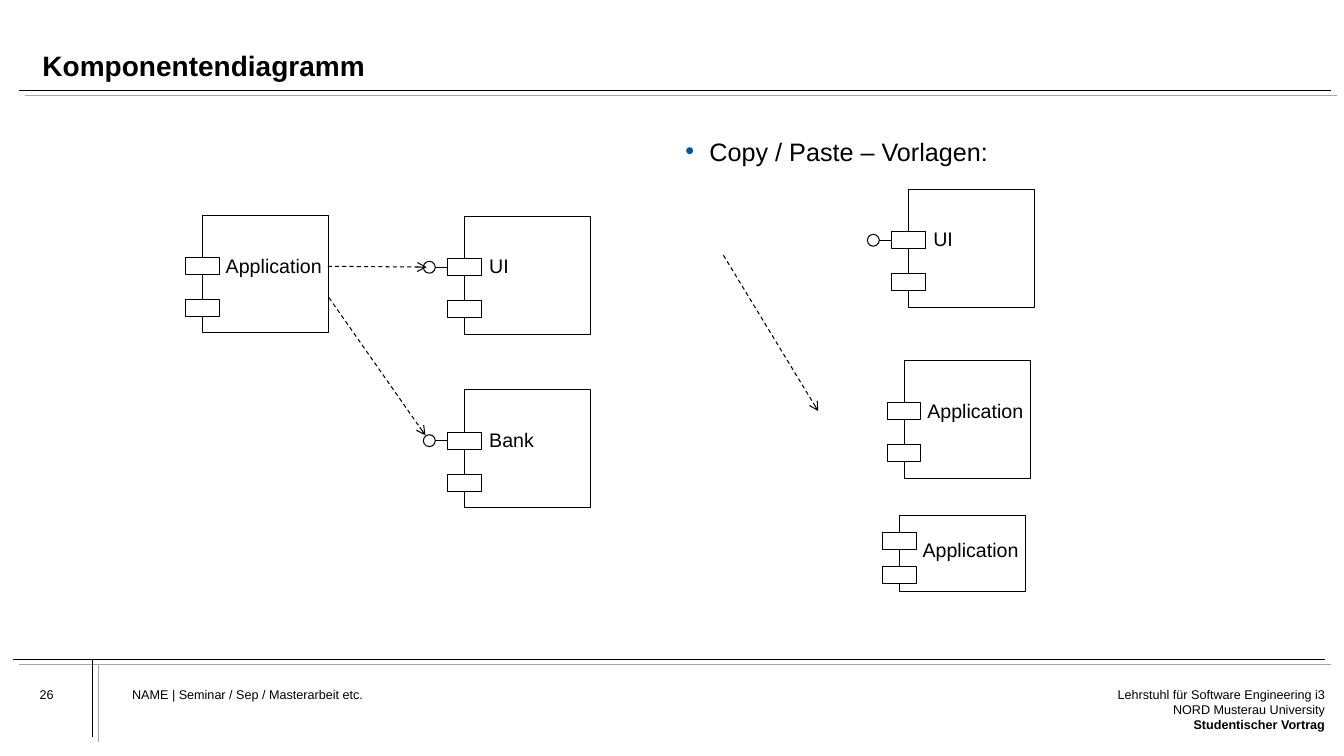
from lxml import etree
from pptx import Presentation
from pptx.dml.color import RGBColor
from pptx.enum.dml import MSO_LINE
from pptx.enum.shapes import MSO_CONNECTOR, MSO_SHAPE
from pptx.enum.text import MSO_ANCHOR, MSO_AUTO_SIZE, PP_ALIGN
from pptx.oxml.ns import qn
from pptx.util import Cm, Pt

RECT, OVAL = MSO_SHAPE.RECTANGLE, MSO_SHAPE.OVAL
STRAIGHT, DASH = MSO_CONNECTOR.STRAIGHT, MSO_LINE.DASH
LEFT, RIGHT = PP_ALIGN.LEFT, PP_ALIGN.RIGHT
TOP, MIDDLE, BOTTOM = MSO_ANCHOR.TOP, MSO_ANCHOR.MIDDLE, MSO_ANCHOR.BOTTOM
NO_RESIZE = MSO_AUTO_SIZE.NONE
FIT_SHAPE = MSO_AUTO_SIZE.SHAPE_TO_FIT_TEXT

COLORS = {"ink": "000000", "paper": "FFFFFF", "echo": "A6A6A6", "bullet": "00549F"}
NO_INSETS = dict.fromkeys(
    ("margin_left", "margin_top", "margin_right", "margin_bottom"), 0)
PLAIN = {**NO_INSETS, "word_wrap": True, "auto_size": NO_RESIZE, "vertical_anchor": TOP}
LABEL = {"word_wrap": False, "auto_size": FIT_SHAPE, "vertical_anchor": MIDDLE}

BODY_W, BODY_H = 3.18, 2.97
TAB_W, TAB_H, TAB_OUT = 0.85, 0.43, 0.43
BALL, BALL_OUT = 0.3, 1.04
ECHO_SHIFT = 0.14


def rgb(name):
    return RGBColor.from_string(COLORS[name])


def apply(target, values):
    for name, value in values.items():
        setattr(target, name, value)


def write(tf, lines, frame, size, para=None, bold_lines=()):
    apply(tf, frame)
    for i, line in enumerate(lines):
        p = tf.paragraphs[0] if i == 0 else tf.add_paragraph()
        apply(p, {"alignment": LEFT, **(para or {})})
        r = p.add_run()
        r.text = line
        apply(r.font, {"name": "Arial", "size": Pt(size), "bold": line in bold_lines})
        r.font.color.rgb = rgb("ink")


def add_text(shapes, box, lines, frame, size, **options):
    sp = shapes.add_textbox(*map(Cm, box))
    write(sp.text_frame, lines, frame, size, **options)
    return sp


def add_line(shapes, x1, y1, x2, y2, color="ink", width=0.75):
    cxn = shapes.add_connector(STRAIGHT, Cm(x1), Cm(y1), Cm(x2), Cm(y2))
    cxn.line.width = Pt(width)
    cxn.line.color.rgb = rgb(color)
    etree.SubElement(cxn._element.spPr, qn("a:effectLst"))
    return cxn


def add_double_line(shapes, x1, y1, x2, y2):
    for color, d in (("ink", 0), ("echo", ECHO_SHIFT)):
        add_line(shapes, x1 + d, y1 + d, x2 + d, y2 + d, color, 0.5)


def add_dependency(shapes, x1, y1, x2, y2):
    cxn = add_line(shapes, x1, y1, x2, y2)
    cxn.line.dash_style = DASH
    etree.SubElement(cxn.line._get_or_add_ln(), qn("a:tailEnd"), type="arrow")


def add_outline(shapes, kind, x, y, w, h, filled=True):
    sp = shapes.add_shape(kind, Cm(x), Cm(y), Cm(w), Cm(h))
    sp.shadow.inherit = False
    if filled:
        sp.fill.solid()
        sp.fill.fore_color.rgb = rgb("paper")
    else:
        sp.fill.background()
    sp.line.color.rgb = rgb("ink")
    sp.line.width = Pt(0.75)
    return sp


def add_component(slide, x, y, name, label_w, h=BODY_H, tab_tops=(1.07, 2.13),
                  label_mid=1.28, interface=False):
    shapes = slide.shapes.add_group_shape().shapes
    add_outline(shapes, RECT, x, y, BODY_W, h, filled=False)
    tabs = [add_outline(shapes, RECT, x - TAB_OUT, y + top, TAB_W, TAB_H)
            for top in tab_tops]
    label_h, label_x = (0.66, 0.37) if interface else (0.84, 0.33)
    add_text(shapes, (x + label_x, y + label_mid - label_h / 2, label_w, label_h),
             [name], LABEL, 14, para={"line_spacing": 0.7 if interface else 1.0})
    if interface:
        mid = y + tab_tops[0] + TAB_H / 2
        add_outline(shapes, OVAL, x - BALL_OUT, mid - BALL / 2, BALL, BALL)
        stick = add_line(shapes, x - BALL_OUT + BALL, mid, x - TAB_OUT, mid)
        stick.end_connect(tabs[0], 1)


def add_header(slide, x, y, w, h):
    title = slide.shapes.title
    apply(title, {"left": Cm(x), "top": Cm(y), "width": Cm(w), "height": Cm(h)})
    text = "Komponentendiagramm"
    write(title.text_frame, [text], {**PLAIN, "vertical_anchor": BOTTOM}, 20,
          para={"line_spacing": 0.9}, bold_lines=[text])
    add_double_line(slide.shapes, 0.48, y + h + 0.2, 33.55, y + h + 0.2)


def add_footer(slide, x, y, w, h):
    shapes = slide.shapes
    add_double_line(shapes, x, y, x + w, y)
    add_double_line(shapes, x + 2, y, x + 2, y + h)
    text_y = y + 0.69
    add_text(shapes, (x + 0.66, text_y, 2.03, 1.09), ["26"], PLAIN, 9)
    add_text(shapes, (x + 2.99, text_y, 19.46, 1.75),
             ["NAME | Seminar / Sep / Masterarbeit etc."], PLAIN, 9)
    talk = "Studentischer Vortrag"
    add_text(shapes, (x + w - 5.46, text_y, 5.46, 1.75),
             ["Lehrstuhl für Software Engineering i3", "NORD Musterau University", talk],
             PLAIN, 9, para={"alignment": RIGHT}, bold_lines=[talk])


def add_diagram(slide, x, y):
    add_component(slide, x, y, "Application", 3)
    for dy, name, label_w in ((0.03, "UI", 1.04), (4.4, "Bank", 1.65)):
        add_component(slide, x + 6.6, y + dy, name, label_w,
                      label_mid=1.32, interface=True)
    add_dependency(slide.shapes, x + 3.15, y + 1.29, x + 5.64, y + 1.31)
    add_dependency(slide.shapes, x + BODY_W, y + 2.08, x + 5.61, y + 5.55)


def add_templates(slide, x, y, w):
    sp = add_text(slide.shapes, (x, y, w, 0.97), ["Copy / Paste – Vorlagen:"], PLAIN, 18)
    pPr = sp.text_frame.paragraphs[0]._p.get_or_add_pPr()
    indents = {"marL": Cm(0.61), "indent": -Cm(0.61)}
    for key, value in indents.items():
        pPr.set(key, str(value))
    color = etree.SubElement(pPr, qn("a:buClr"))
    etree.SubElement(color, qn("a:srgbClr"), val=COLORS["bullet"])
    etree.SubElement(pPr, qn("a:buFont"), typeface="Arial")
    etree.SubElement(pPr, qn("a:buChar"), char="•")
    add_component(slide, x + 5.63, y + 1.34, "UI", 1.04, label_mid=1.32, interface=True)
    add_component(slide, x + 5.52, y + 5.65, "Application", 3)
    add_component(slide, x + 5.4, y + 9.57, "Application", 3, h=1.91,
                  tab_tops=(0.42, 1.28), label_mid=0.84)
    add_dependency(slide.shapes, x + 0.96, y + 3, x + 3.35, y + 6.93)


def main():
    prs = Presentation()
    prs.slide_width, prs.slide_height = Cm(33.87), Cm(19.05)
    slide = prs.slides.add_slide(prs.slide_layouts[5])
    add_header(slide, 1.07, 0.58, 31.9, 1.49)
    add_footer(slide, 0.34, 16.61, 33.05, 1.95)
    add_diagram(slide, 5.11, 5.42)
    add_templates(slide, 17.27, 3.43, 15.7)
    prs.save("out.pptx")


if __name__ == "__main__":
    main()
